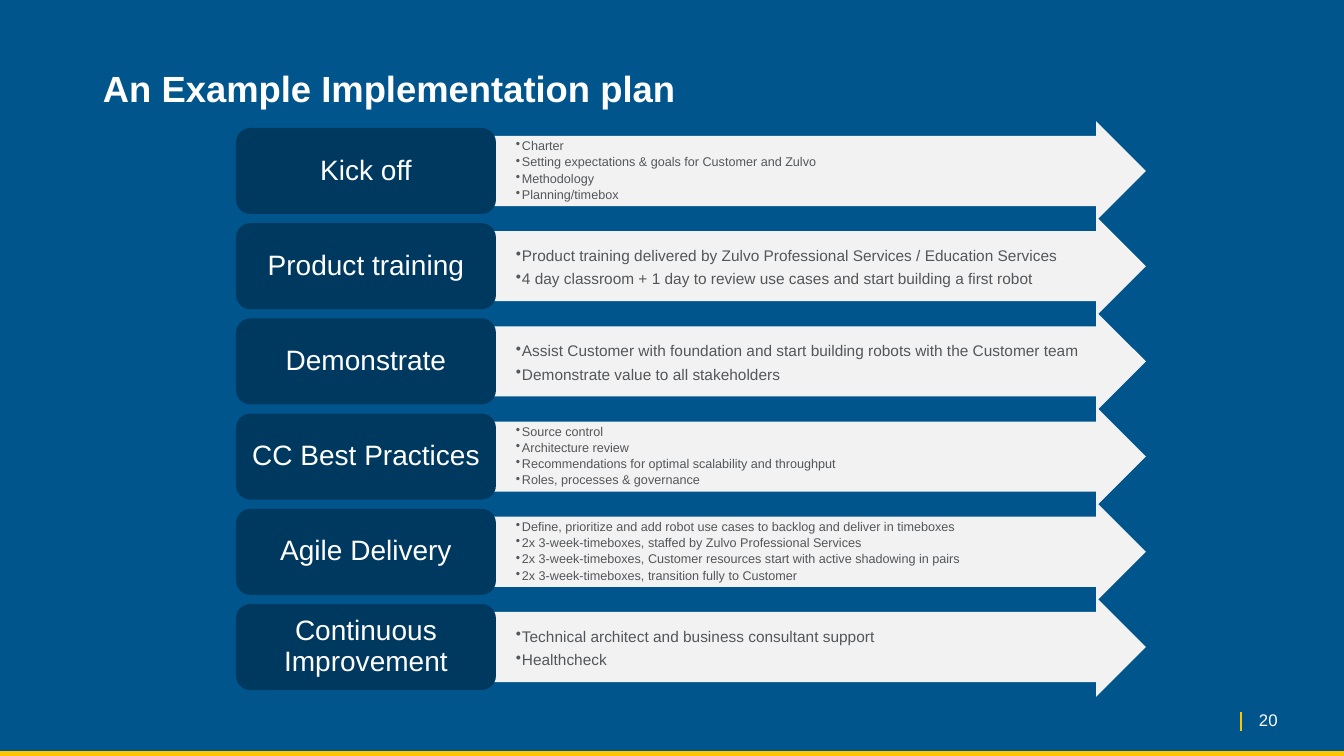
from lxml.etree import SubElement
from pptx import Presentation
from pptx.dml.color import RGBColor
from pptx.enum.shapes import MSO_CONNECTOR as Link, MSO_SHAPE as Form
from pptx.enum.text import MSO_ANCHOR as Anchor, PP_ALIGN as Align
from pptx.oxml.ns import qn
from pptx.util import Pt

SCALE = 914400 / 100.8
BLUE = RGBColor(0x00, 0x55, 0x8C)
NAVY = RGBColor(0x00, 0x39, 0x60)
PALE = RGBColor(0xF2, 0xF2, 0xF2)
GREY = RGBColor(0x53, 0x56, 0x5A)
GOLD = RGBColor(0xFF, 0xC6, 0x00)
WHITE = RGBColor(0xFF, 0xFF, 0xFF)

STEPS = [
    ("Kick off", [
        "Charter",
        "Setting expectations & goals for Customer and Zulvo",
        "Methodology",
        "Planning/timebox"]),
    ("Product training", [
        "Product training delivered by Zulvo Professional Services / Education Services",
        "4 day classroom + 1 day to review use cases and start building a first robot"]),
    ("Demonstrate", [
        "Assist Customer with foundation and start building robots with the Customer team",
        "Demonstrate value to all stakeholders"]),
    ("CC Best Practices", [
        "Source control",
        "Architecture review",
        "Recommendations for optimal scalability and throughput",
        "Roles, processes & governance"]),
    ("Agile Delivery", [
        "Define, prioritize and add robot use cases to backlog and deliver in timeboxes",
        "2x 3-week-timeboxes, staffed by Zulvo Professional Services",
        "2x 3-week-timeboxes, Customer resources start with active shadowing in pairs",
        "2x 3-week-timeboxes, transition fully to Customer"]),
    ("Continuous Improvement", [
        "Technical architect and business consultant support",
        "Healthcheck"]),
]


def px(*vals):
    """Turn pixel lengths into EMU."""
    return [round(v * SCALE) for v in vals]


def write(shape, lines, size, color=WHITE, bold=False, align=Align.LEFT,
          anchor=Anchor.MIDDLE, pad=(10, 5, 10, 5), lead=0.9, after=0, dots=False):
    """Fill a shape with formatted paragraphs."""
    frame = shape.text_frame
    frame.word_wrap = True
    frame.vertical_anchor = anchor
    (frame.margin_left, frame.margin_top,
     frame.margin_right, frame.margin_bottom) = px(*pad)
    for i, line in enumerate(lines):
        para = frame.paragraphs[0] if i == 0 else frame.add_paragraph()
        para.alignment = align
        para.line_spacing = lead
        para.space_after = Pt(after)
        if dots:
            para.level = 1
            props = para._p.get_or_add_pPr()
            gap = px(6)[0]
            props.set("marL", str(gap))
            props.set("indent", str(-gap))
            SubElement(props, qn("a:buChar")).set("char", "•")
        run = para.add_run()
        run.text = line
        font = run.font
        font.name, font.size, font.bold = "Arial", Pt(size), bold
        font.color.rgb = color


def shape(slide, form, box, color):
    """Add a flat preset shape."""
    item = slide.shapes.add_shape(form, *px(*box))
    item.shadow.inherit = False
    item.fill.solid()
    item.fill.fore_color.rgb = color
    item.line.fill.background()
    return item


def rule(slide, x1, y1, x2, y2, width):
    """Draw a gold line."""
    line = slide.shapes.add_connector(Link.STRAIGHT, *px(x1, y1, x2, y2))
    line.line.color.rgb = GOLD
    line.line.width = Pt(width)
    SubElement(line._element.spPr, qn("a:effectLst"))


def step(slide, box, name, notes):
    """Draw one step: a label and the arrow beside it."""
    x, y, w, h = box
    side = 260
    arrow = shape(slide, Form.RIGHT_ARROW, (x + side, y, w - side, h), PALE)
    arrow.adjustments[0] = 0.75
    arrow.adjustments[1] = 0.5
    arrow.line.color.rgb = PALE
    arrow.line.width = Pt(4)
    SubElement(arrow.line._get_or_add_ln(), qn("a:miter")).set("lim", "800000")
    size, lead = (9, 0.9) if len(notes) > 2 else (11, 1.1)
    write(arrow, notes, size, GREY, pad=(20, 1, 1, 1), lead=lead,
          after=round(size * 0.2, 1), dots=True)
    label = shape(slide, Form.ROUNDED_RECTANGLE, (x, y, side, h), NAVY)
    write(label, [name], 20, align=Align.CENTER, pad=(12, 8, 12, 8))


def plan(slide, box):
    """Stack the steps evenly in the box."""
    x, y, w, h = box
    tall = 86
    pitch = (h - tall) / (len(STEPS) - 1)
    for i, (name, notes) in enumerate(STEPS):
        step(slide, (x, y + i * pitch, w, tall), name, notes)


def head(slide, box):
    """Write the title."""
    title = slide.shapes.add_textbox(*px(*box))
    write(title, ["An Example Implementation plan"], 26, bold=True, anchor=Anchor.TOP)


def foot(slide, box):
    """Draw the bottom rule and the page number."""
    x, y, w, h = box
    rule(slide, x + w - 103, y + 12, x + w - 103, y + 31, 1)
    rule(slide, x, y + h - 2, x + w, y + h - 2, 4)
    page = slide.shapes.add_textbox(*px(x + w - 95, y, 68, 40))
    write(page, ["20"], 12, lead=1)


def main():
    """Build and save the slide."""
    deck = Presentation()
    deck.slide_width, deck.slide_height = px(1344, 756)
    slide = deck.slides.add_slide(deck.slide_layouts[6])
    fill = slide.background.fill
    fill.solid()
    fill.fore_color.rgb = BLUE
    foot(slide, (0, 700, 1344, 56))
    head(slide, (93, 66, 1193, 103))
    plan(slide, (236, 128, 906, 562))
    deck.save("out.pptx")


if __name__ == "__main__":
    main()
